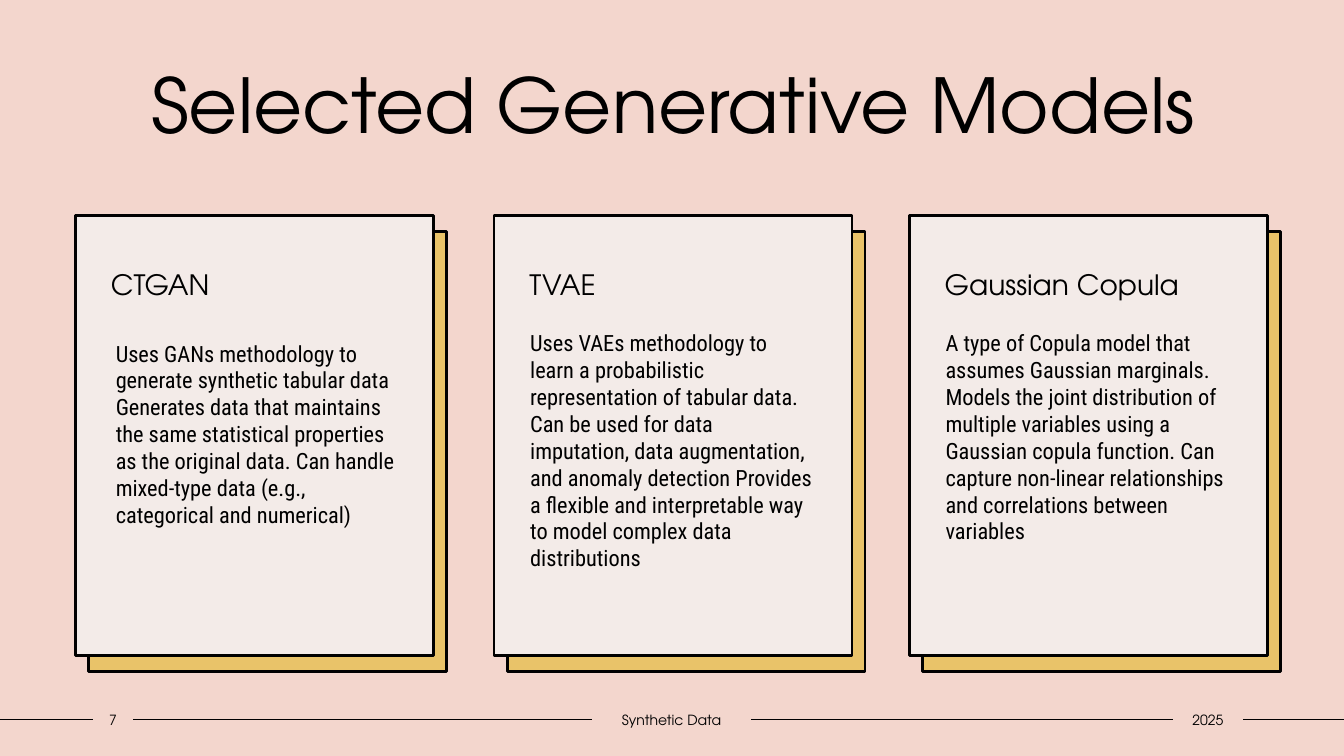
"""Build the slide on selected generative models."""
from dataclasses import dataclass

import pptx
import pptx.dml.color
import pptx.enum.shapes
import pptx.enum.text
import pptx.oxml.ns
import pptx.util
from lxml import etree

ANCHOR = pptx.enum.text.MSO_ANCHOR
ALIGN = pptx.enum.text.PP_ALIGN


@dataclass(frozen=True)
class Theme:
    background: str = "F3D6CD"
    card: str = "F3EBE8"
    shadow: str = "E9C369"
    ink: str = "000000"
    display_font: str = "TeX Gyre Adventor"
    body_font: str = "Roboto Condensed"
    title_size: int = 54
    heading_size: int = 20
    body_size: int = 16
    footer_size: int = 10
    card_line: int = 2
    rule_line: int = 1


@dataclass(frozen=True)
class Box:
    x: int
    y: int
    w: int
    h: int


@dataclass(frozen=True)
class Model:
    x: int
    text_x: int
    text_y: int
    name: str
    description: str


@dataclass(frozen=True)
class FooterItem:
    x: int
    w: int
    text: str


THEME = Theme()
SLIDE_W, SLIDE_H = 1333, 750
TITLE_BOX = Box(-28, 53, 1391, 111)
CARD_Y, CARD_W, CARD_H = 214, 355, 436
SHADOW_DX, SHADOW_DY = 13, 16
TEXT_W, TEXT_H = 300, 305
FOOTER_Y, FOOTER_H = 700, 28

MODELS = [
    Model(75, 105, 332, "CTGAN",
          "Uses GANs methodology to generate synthetic tabular data Generates "
          "data that maintains the same statistical properties as the original "
          "data. Can handle mixed-type data (e.g., categorical and numerical)"),
    Model(490, 516, 322, "TVAE",
          "Uses VAEs methodology to learn a probabilistic representation of "
          "tabular data. Can be used for data imputation, data augmentation, and "
          "anomaly detection Provides a flexible and interpretable way to model "
          "complex data distributions"),
    Model(902, 928, 322, "Gaussian Copula",
          "A type of Copula model that assumes Gaussian marginals. Models the "
          "joint distribution of multiple variables using a Gaussian copula "
          "function. Can capture non-linear relationships and correlations "
          "between variables"),
]
FOOTER = [
    FooterItem(92, 40, "7"),
    FooterItem(587, 158, "Synthetic Data"),
    FooterItem(1163, 70, "2025"),
]


def px(n: int) -> pptx.util.Emu:
    """Turn px into EMU."""
    return pptx.util.Emu(n * 9144)


def rgb(value: str) -> pptx.dml.color.RGBColor:
    """Turn a hex string into a colour."""
    return pptx.dml.color.RGBColor.from_string(value)


def apply(target: object, values: dict) -> None:
    """Set each named attribute on the target."""
    for name, value in values.items():
        setattr(target, name, value)


def bounds(box: Box) -> tuple:
    """Give the box as four EMU lengths."""
    return px(box.x), px(box.y), px(box.w), px(box.h)


def write(sp, text: str, font: str, size: int, align=ALIGN.LEFT,
          anchor=ANCHOR.TOP, insets: tuple = (10, 5, 10, 5),
          spacing: float = 1.0) -> None:
    """Put one formatted paragraph into a shape."""
    tf = sp.text_frame
    left, top, right, bottom = map(px, insets)
    apply(tf, {"word_wrap": True, "auto_size": pptx.enum.text.MSO_AUTO_SIZE.NONE,
               "vertical_anchor": anchor, "margin_left": left, "margin_top": top,
               "margin_right": right, "margin_bottom": bottom})
    p = tf.paragraphs[0]
    apply(p, {"alignment": align, "line_spacing": spacing})
    r = p.add_run()
    r.text = text
    apply(r.font, {"name": font, "size": pptx.util.Pt(size)})
    r.font.color.rgb = rgb(THEME.ink)


def add_panel(s, box: Box, fill: str):
    """Draw an outlined rectangle."""
    sp = s.shapes.add_shape(pptx.enum.shapes.MSO_SHAPE.RECTANGLE, *bounds(box))
    sp.shadow.inherit = False
    sp.fill.solid()
    sp.fill.fore_color.rgb = rgb(fill)
    sp.line.color.rgb = rgb(THEME.ink)
    sp.line.width = pptx.util.Pt(THEME.card_line)
    return sp


def add_model(s, model: Model) -> None:
    """Draw a card with its shadow, heading and description."""
    add_panel(s, Box(model.x + SHADOW_DX, CARD_Y + SHADOW_DY, CARD_W, CARD_H),
              THEME.shadow)
    card = add_panel(s, Box(model.x, CARD_Y, CARD_W, CARD_H), THEME.card)
    write(card, model.name, THEME.display_font, THEME.heading_size,
          insets=(35, 55, 10, 5), spacing=0.9)
    sp = s.shapes.add_textbox(
        *bounds(Box(model.text_x, model.text_y, TEXT_W, TEXT_H)))
    write(sp, model.description, THEME.body_font, THEME.body_size)


def add_footer_item(s, item: FooterItem):
    """Write one centred footer text."""
    sp = s.shapes.add_textbox(*bounds(Box(item.x, FOOTER_Y, item.w, FOOTER_H)))
    write(sp, item.text, THEME.display_font, THEME.footer_size, ALIGN.CENTER,
          ANCHOR.MIDDLE, insets=(0, 5, 0, 5))
    return sp


def add_rule(s, before, after) -> None:
    """Draw a footer rule between two texts or the slide edges."""
    y = px(FOOTER_Y + FOOTER_H // 2)
    cx = s.shapes.add_connector(pptx.enum.shapes.MSO_CONNECTOR.STRAIGHT,
                                px(0), y, px(SLIDE_W), y)
    if before is not None:
        cx.begin_connect(before, 3)
    if after is not None:
        cx.end_connect(after, 1)
    cx.line.color.rgb = rgb(THEME.ink)
    cx.line.width = pptx.util.Pt(THEME.rule_line)
    etree.SubElement(cx._element.spPr, pptx.oxml.ns.qn("a:effectLst"))


def main() -> None:
    """Build and save the slide."""
    prs = pptx.Presentation()
    apply(prs, {"slide_width": px(SLIDE_W), "slide_height": px(SLIDE_H)})
    s = prs.slides.add_slide(prs.slide_layouts[5])
    s.background.fill.solid()
    s.background.fill.fore_color.rgb = rgb(THEME.background)

    title = s.shapes.title
    apply(title, dict(zip(("left", "top", "width", "height"), bounds(TITLE_BOX))))
    write(title, "Selected Generative Models", THEME.display_font,
          THEME.title_size, ALIGN.CENTER, ANCHOR.MIDDLE, spacing=0.9)
    for model in MODELS:
        add_model(s, model)
    items = [add_footer_item(s, item) for item in FOOTER]
    for before, after in zip([None, *items], [*items, None]):
        add_rule(s, before, after)
    prs.save("out.pptx")


if __name__ == "__main__":
    main()
